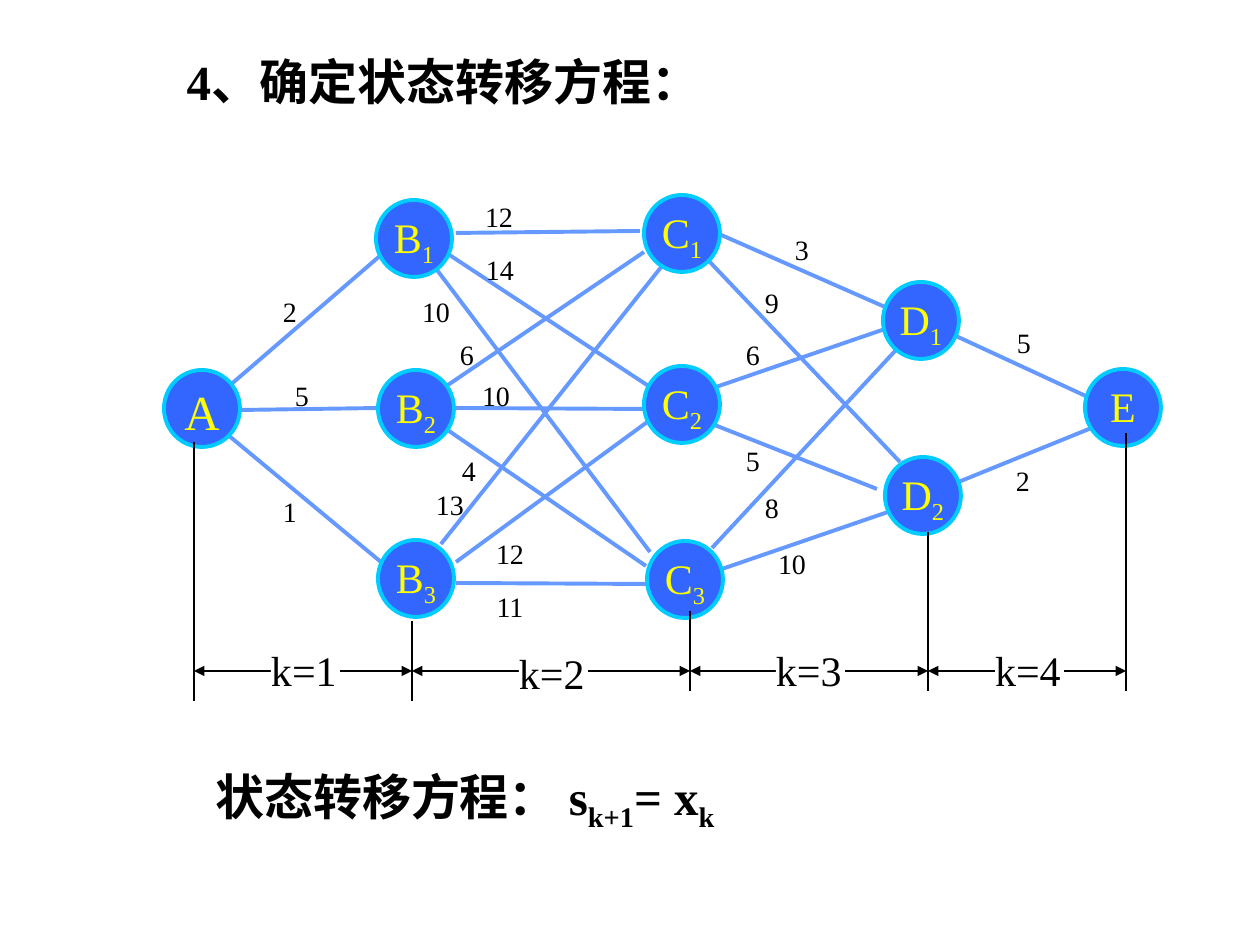
"""Build the stage graph slide with its state transfer equation."""
from lxml import etree
from pptx import Presentation, util as u
from pptx.dml.color import RGBColor
from pptx.enum import shapes, text
from pptx.oxml.ns import qn

PX = u.Inches(1) / 126
HUES = {"ink": "000000", "paper": "FFFFFF", "edge": "6699FF",
        "node": "3366FF", "rim": "00CCFF", "name": "FFFF00"}
LEFT, MID = text.PP_ALIGN.LEFT, text.PP_ALIGN.CENTER

NODES = [("C", "1", 644, 195), ("C", "3", 647, 541), ("D", "1", 883, 282),
         ("A", "", 164, 370), ("B", "1", 376, 200), ("B", "3", 378, 540),
         ("B", "2", 378, 370), ("D", "2", 885, 457), ("E", "", 1085, 369),
         ("C", "2", 644, 366)]
EDGES = [(228, 387, 381, 255), (239, 410, 381, 408), (456, 408, 644, 409),
         (228, 435, 381, 562), (456, 233, 640, 231), (456, 583, 646, 584),
         (719, 234, 885, 307), (956, 336, 1090, 398), (719, 570, 888, 512),
         (956, 483, 1094, 427), (716, 387, 885, 329), (712, 424, 877, 489),
         (445, 252, 650, 387), (437, 270, 650, 552), (445, 387, 644, 252),
         (449, 431, 646, 566), (441, 544, 662, 266), (456, 562, 650, 420),
         (708, 260, 900, 462), (712, 548, 896, 350)]
COSTS = [("2", 270, 295), ("5", 282, 379), ("1", 270, 495), ("12", 479, 200),
         ("14", 480, 253), ("10", 416, 295), ("6", 447, 338), ("10", 476, 379),
         ("4", 449, 454), ("13", 436, 488), ("11", 490, 590), ("12", 490, 537),
         ("3", 782, 233), ("9", 752, 286), ("6", 733, 338), ("5", 733, 444),
         ("8", 752, 491), ("10", 772, 547), ("5", 1004, 326), ("2", 1003, 464)]
MARKS = [(194, 442, 701), (412, 621, 701), (690, 611, 691),
         (928, 532, 691), (1126, 433, 691)]
STAGES = [(271, 638), (519, 641), (776, 638), (995, 638)]


class Deck:
    """Holds the style and the current slide."""

    def __init__(self, font):
        self.font = font
        self.prs = Presentation()
        self.prs.slide_width, self.prs.slide_height = u.Inches(10), u.Inches(7.5)
        self.slide = self.prs.slides.add_slide(self.prs.slide_layouts[5])

    def size(self, *vals):
        return [u.Emu(round(v * PX)) for v in vals]

    def hue(self, name):
        return RGBColor.from_string(HUES[name])

    def fill_text(self, shape, runs, pt, hue="ink", align=LEFT, pad=(0, 0), bold=False):
        frame = shape.text_frame
        frame.word_wrap = True
        frame.auto_size = text.MSO_AUTO_SIZE.NONE
        frame.vertical_anchor = text.MSO_ANCHOR.TOP
        frame.margin_left = frame.margin_right = u.Inches(pad[0])
        frame.margin_top = frame.margin_bottom = u.Inches(pad[1])
        para = frame.paragraphs[0]
        para.alignment = align
        font = para.font
        font.name, font.size, font.bold = self.font, u.Pt(pt), bold
        font.color.rgb = self.hue(hue)
        for i, part in enumerate(runs):
            run = para.add_run()
            run.text = part
            if i % 2:
                run.font._element.set("baseline", "-25000")

    def title(self, words, box):
        shape = self.slide.shapes.title
        shape.left, shape.top, shape.width, shape.height = self.size(*box)
        self.fill_text(shape, [words], 28, pad=(0.1, 0.05), bold=True)

    def label(self, runs, box, pt, **style):
        shape = self.slide.shapes.add_textbox(*self.size(*box))
        self.fill_text(shape, runs, pt, **style)
        return shape

    def line(self, ends, hue="ink", pt=0.75, heads=False):
        line = self.slide.shapes.add_connector(
            shapes.MSO_CONNECTOR.STRAIGHT, *self.size(*ends))
        line.line.color.rgb = self.hue(hue)
        line.line.width = u.Pt(pt)
        if heads:
            for tag in ("a:headEnd", "a:tailEnd"):
                etree.SubElement(line.line._get_or_add_ln(), qn(tag), type="triangle")
        etree.SubElement(line._element.spPr, qn("a:effectLst"))

    def node(self, name, sub, x, y):
        shape = self.slide.shapes.add_shape(
            shapes.MSO_SHAPE.OVAL, *self.size(x, y, 76, 77))
        shape.shadow.inherit = False
        shape.fill.solid()
        shape.fill.fore_color.rgb = self.hue("node")
        shape.line.color.rgb = self.hue("rim")
        shape.line.width = u.Pt(2.25)
        runs = [name, sub] if sub else [name]
        self.fill_text(shape, runs, 24 if name != "A" else 28, hue="name", align=MID)

    def stage(self, num, x, y):
        shape = self.label([f"k={num}"], (x, y, 69, 63), 24, pad=(0, 0.05))
        shape.fill.solid()
        shape.fill.fore_color.rgb = self.hue("paper")


def main():
    deck = Deck("Times New Roman")
    deck.title("4、确定状态转移方程：", (174, 45, 1062, 72))
    for ends in EDGES:
        deck.line(ends, "edge", 2.25)
    for cost, x, y in COSTS:
        deck.label([cost], (x, y, 40, 42), 16, align=MID if cost != "13" else LEFT)
    for node in NODES:
        deck.node(*node)
    for x, top, end in MARKS:
        deck.line((x, top, x, end))
    for (x, *_), (end, *_) in zip(MARKS, MARKS[1:]):
        deck.line((x, 671, end, 671), heads=True)
    for num, spot in enumerate(STAGES, 1):
        deck.stage(num, *spot)
    deck.label(["状态转移方程： s", "k+1", "= x", "k"], (203, 760, 983, 79), 28,
               pad=(0.1, 0.05), bold=True)
    deck.prs.save("out.pptx")


if __name__ == "__main__":
    main()
